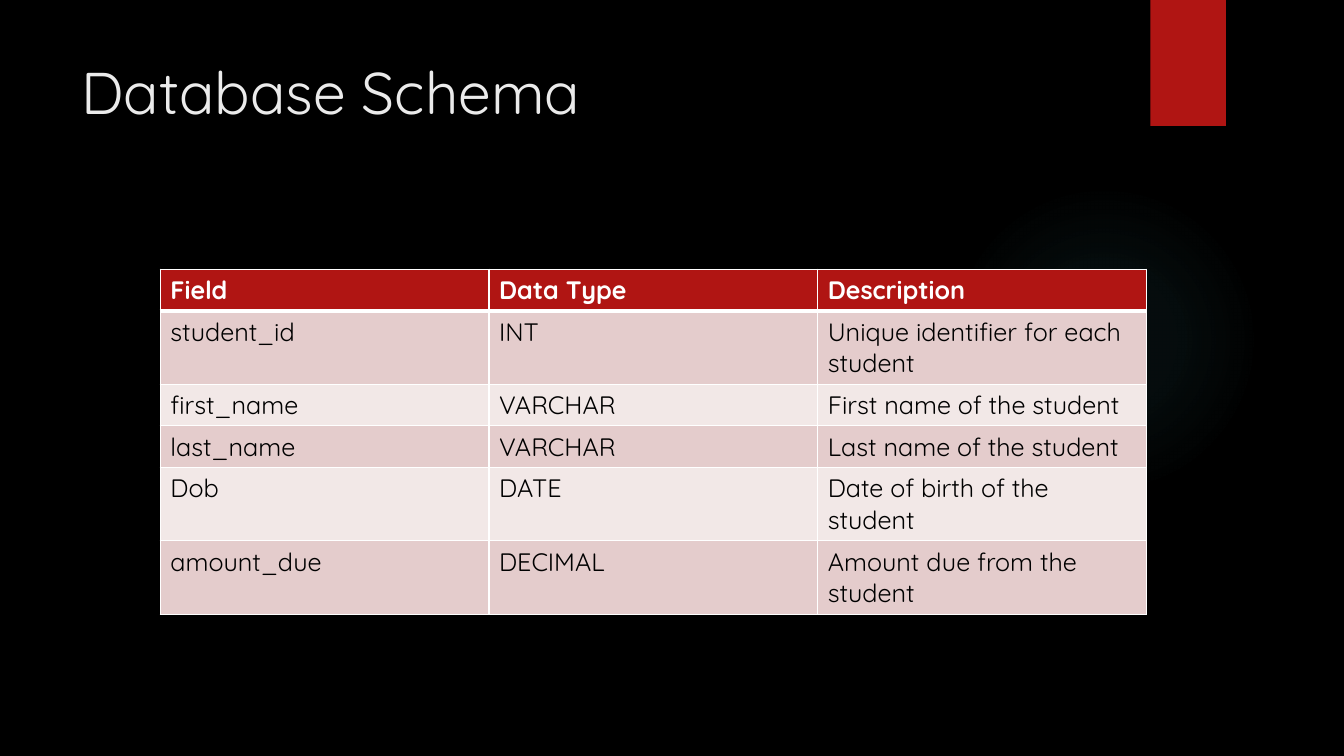
from lxml.etree import SubElement
from pptx import Presentation
from pptx.dml.color import RGBColor
from pptx.enum.shapes import MSO_SHAPE
from pptx.enum.text import MSO_ANCHOR, PP_ALIGN
from pptx.oxml import parse_xml
from pptx.oxml.ns import nsdecls, qn
from pptx.util import Inches, Pt

TITLE = "Database Schema"
ROWS = [
    ("Field", "Data Type", "Description"),
    ("student_id", "INT", "Unique identifier for each student"),
    ("first_name", "VARCHAR", "First name of the student"),
    ("last_name", "VARCHAR", "Last name of the student"),
    ("Dob", "DATE", "Date of birth of the student"),
    ("amount_due", "DECIMAL", "Amount due from the student"),
]
GLOW_STOPS = [(0, 7), (36, 6), (69, 0)]
THEME = {
    "font": "Quicksand",
    "back": "000000",
    "accent": "B01513",
    "glow": "50B9C1",
    "title": "EBEBEB",
    "head": "FFFFFF",
    "body": "000000",
    "border": "FFFFFF",
    "bands": ("E4CCCC", "F2E8E7"),
    "title_size": 42,
    "table_size": 18,
}
COL_W, ROW_H = 3.26, 0.41


def paint(fill, color):
    fill.solid()
    fill.fore_color.rgb = RGBColor.from_string(color)


def write(tf, text, color, size, bold=False):
    p = tf.paragraphs[0]
    p.alignment = PP_ALIGN.LEFT
    r = p.add_run()
    r.text = text
    fmt = {"name": THEME["font"], "size": Pt(size), "bold": bold}
    for key, value in fmt.items():
        setattr(r.font, key, value)
    r.font.color.rgb = RGBColor.from_string(color)


def add_plain(s, kind, *box):
    sp = s.shapes.add_shape(kind, *map(Inches, box))
    sp.shadow.inherit = False
    sp.line.fill.background()
    return sp


def add_glow(s):
    sp = add_plain(s, MSO_SHAPE.OVAL, 9.41, 1.83, 3.08, 3.08)
    stops = "".join(
        f'<a:gs pos="{pos * 1000}"><a:srgbClr val="{THEME["glow"]}">'
        f'<a:alpha val="{alpha * 1000}"/></a:srgbClr></a:gs>'
        for pos, alpha in GLOW_STOPS
    )
    grad = parse_xml(
        f'<a:gradFill {nsdecls("a")}><a:gsLst>{stops}</a:gsLst><a:path path="circle">'
        '<a:fillToRect l="50000" t="50000" r="50000" b="50000"/></a:path></a:gradFill>'
    )
    sp.element.spPr.find(qn("a:prstGeom")).addnext(grad)


def add_borders(cell, row):
    widths = {"L": 1, "R": 1, "T": 3 if row == 1 else 1, "B": 3 if row == 0 else 1}
    tc_pr = cell._tc.get_or_add_tcPr()
    for side, width in widths.items():
        ln = SubElement(tc_pr, qn(f"a:ln{side}"), w=str(Pt(width)))
        fill = SubElement(ln, qn("a:solidFill"))
        SubElement(fill, qn("a:srgbClr"), val=THEME["border"])


def add_schema(s):
    n_rows, n_cols = len(ROWS), len(ROWS[0])
    box = (1.59, 2.67, COL_W * n_cols, ROW_H * n_rows)
    table = s.shapes.add_table(n_rows, n_cols, *map(Inches, box)).table
    for col in table.columns:
        col.width = Inches(COL_W)
    for i, values in enumerate(ROWS):
        table.rows[i].height = Inches(ROW_H)
        head = i == 0
        back = THEME["accent"] if head else THEME["bands"][(i - 1) % 2]
        color = THEME["head"] if head else THEME["body"]
        for j, text in enumerate(values):
            cell = table.cell(i, j)
            add_borders(cell, i)
            paint(cell.fill, back)
            write(cell.text_frame, text, color, THEME["table_size"], head)


def main():
    prs = Presentation()
    prs.slide_width, prs.slide_height = Inches(13.33), Inches(7.5)
    s = prs.slides.add_slide(prs.slide_layouts[5])
    paint(s.background.fill, THEME["back"])
    add_glow(s)
    paint(add_plain(s, MSO_SHAPE.RECTANGLE, 11.41, 0, 0.75, 1.25).fill, THEME["accent"])
    title = s.shapes.title
    box = {"left": 0.71, "top": 0.5, "width": 10.29, "height": 0.93}
    for key, value in box.items():
        setattr(title, key, Inches(value))
    title.text_frame.vertical_anchor = MSO_ANCHOR.TOP
    write(title.text_frame, TITLE, THEME["title"], THEME["title_size"])
    add_schema(s)
    prs.save("out.pptx")


if __name__ == "__main__":
    main()
